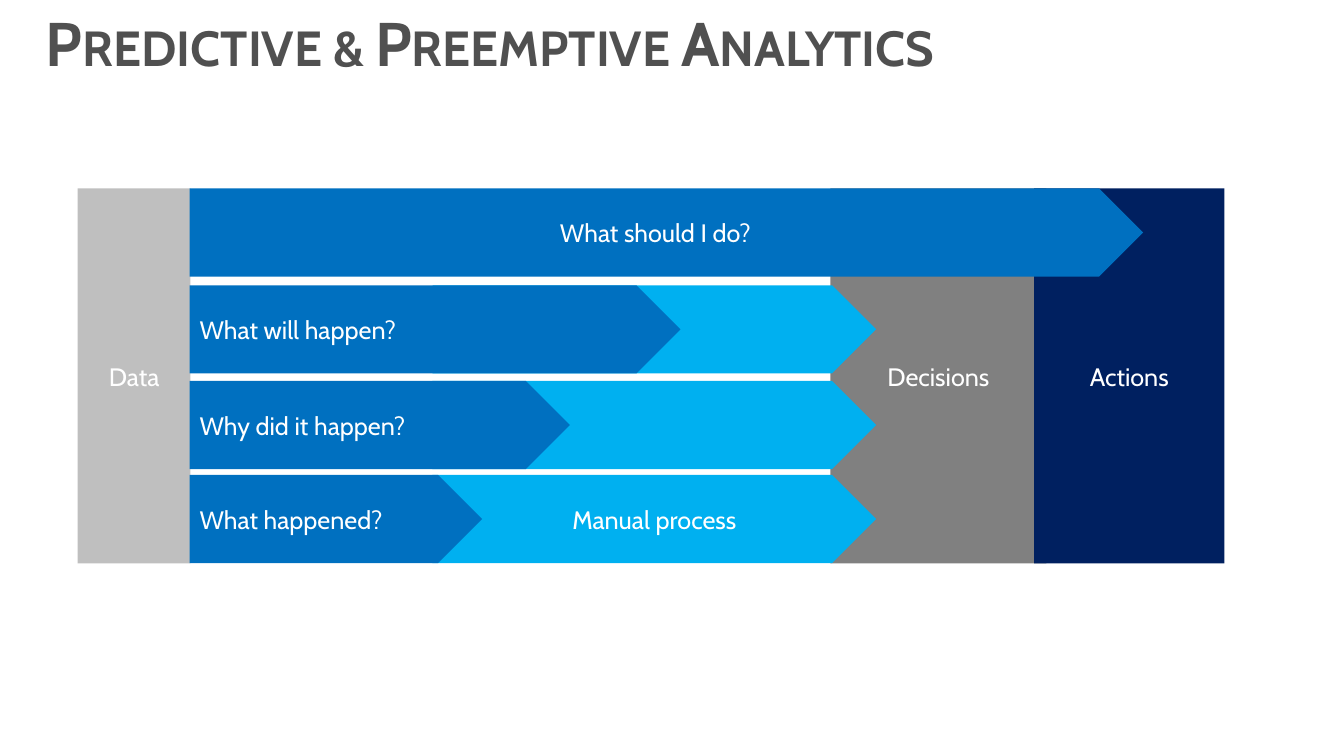
from pptx import Presentation
from pptx.dml.color import RGBColor
from pptx.enum.shapes import MSO_SHAPE
from pptx.enum.text import MSO_ANCHOR, PP_ALIGN
from pptx.util import Cm, Pt

COLORS = {"data": "BFBFBF", "decisions": "808080", "actions": "002060",
          "question": "0070C0", "manual": "00B0F0", "label": "FFFFFF", "title": "505050"}
LABEL_FORMAT = {"name": "Cabin", "size": Pt(18)}
TITLE_FORMAT = {"name": "Cabin", "size": Pt(44), "bold": True}

COLUMNS = [("Decisions", "decisions", 18.97, 5.44),
           ("Data", "data", 0, 2.84),
           ("Actions", "actions", 24.1, 4.8)]
QUESTIONS = [("What happened?", 7.22, 7.37, "Manual process"),
             ("Why did it happen?", 4.85, 9.58, ""),
             ("What will happen?", 2.44, 12.37, "")]
ROW_HEIGHT = 2.22
QUESTION_LEFT = 2.82
MANUAL_LEFT, MANUAL_WIDTH = 8.94, 11.18


def write_text(shape, text, values, color, alignment):
    """Write one formatted paragraph into a shape."""
    shape.text_frame.word_wrap = True
    paragraph = shape.text_frame.paragraphs[0]
    paragraph.alignment = alignment
    run = paragraph.add_run()
    run.text = text
    for name, value in values.items():
        setattr(run.font, name, value)
    run.font.color.rgb = RGBColor.from_string(COLORS[color])
    return paragraph, run


def add_block(slide, kind, box, color, text="", alignment=PP_ALIGN.CENTER):
    """Add a flat filled shape with an optional label."""
    shape = slide.shapes.add_shape(kind, *[Cm(length) for length in box])
    shape.shadow.inherit = False
    shape.fill.solid()
    shape.fill.fore_color.rgb = RGBColor.from_string(COLORS[color])
    shape.line.fill.background()
    shape.text_frame.vertical_anchor = MSO_ANCHOR.MIDDLE
    if text:
        write_text(shape, text, LABEL_FORMAT, "label", alignment)


def add_title(slide, left, top, width, height):
    """Add the slide title in small capitals."""
    title = slide.shapes.add_textbox(Cm(left), Cm(top), Cm(width), Cm(height))
    paragraph, run = write_text(title, "Predictive & Preemptive Analytics",
                                TITLE_FORMAT, "title", PP_ALIGN.LEFT)
    paragraph.line_spacing = 0.9
    run.font._element.set("cap", "small")


def add_analytics_diagram(slide, left, top, height):
    """Add the columns and the arrows that lead from data to actions."""
    for text, color, offset, width in COLUMNS:
        add_block(slide, MSO_SHAPE.RECTANGLE, (left + offset, top, width, height), color, text)
    for text, offset, width, manual_text in QUESTIONS:
        row_top = top + offset
        add_block(slide, MSO_SHAPE.CHEVRON,
                  (left + MANUAL_LEFT, row_top, MANUAL_WIDTH, ROW_HEIGHT), "manual", manual_text)
        add_block(slide, MSO_SHAPE.PENTAGON,
                  (left + QUESTION_LEFT, row_top, width, ROW_HEIGHT),
                  "question", text, PP_ALIGN.LEFT)
    add_block(slide, MSO_SHAPE.PENTAGON, (left + QUESTION_LEFT, top, 24.03, ROW_HEIGHT),
              "question", "What should I do?")


def main():
    """Build and save the presentation."""
    presentation = Presentation()
    presentation.slide_width, presentation.slide_height = Cm(33.87), Cm(19.05)
    slide = presentation.slides.add_slide(presentation.slide_layouts[6])
    add_analytics_diagram(slide, 1.96, 4.75, 9.45)
    add_title(slide, 0.91, 0.2, 27.13, 1.47)
    presentation.save("out.pptx")


if __name__ == "__main__":
    main()
